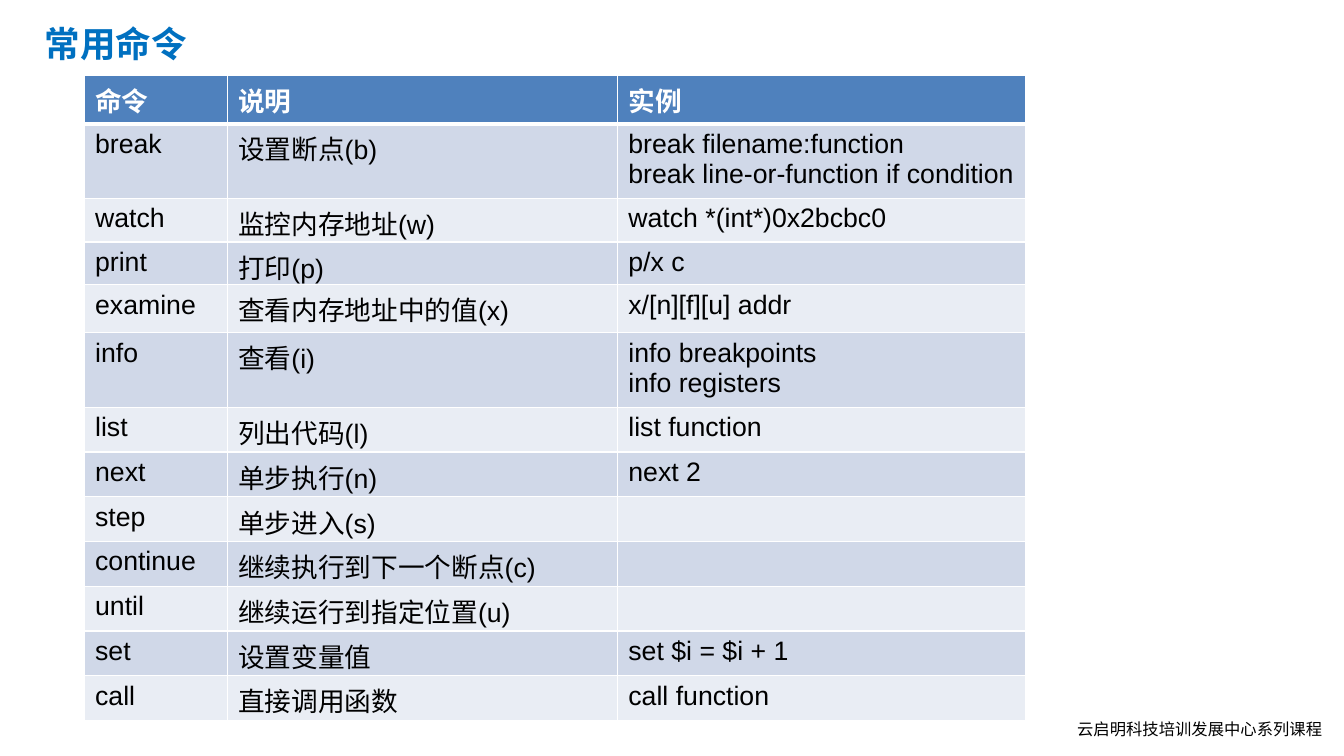
from lxml.etree import SubElement
from pptx import Presentation
from pptx.dml.color import RGBColor
from pptx.enum.text import MSO_ANCHOR as Anchor, PP_ALIGN as Align
from pptx.oxml import parse_xml
from pptx.oxml.ns import qn, nsdecls
from pptx.util import Pt

COLUMN_WIDTHS = [96.5, 263.5, 275]
HEADER_HEIGHT = 32.4
ROW_HEIGHT = 30.2
TALL_HEIGHT = 50.4
ROW_HEIGHTS = {"watch": 29.5, "print": 27.4, "examine": 32.4}
COMMANDS = [
    ("命令", "说明", "实例"),
    ("break", "设置断点(b)", "break filename:function\nbreak line-or-function if condition"),
    ("watch", "监控内存地址(w)", "watch *(int*)0x2bcbc0"),
    ("print", "打印(p)", "p/x c"),
    ("examine", "查看内存地址中的值(x)", "x/[n][f][u] addr"),
    ("info", "查看(i)", "info breakpoints\ninfo registers"),
    ("list", "列出代码(l)", "list function"),
    ("next", "单步执行(n)", "next 2"),
    ("step", "单步进入(s)", ""),
    ("continue", "继续执行到下一个断点(c)", ""),
    ("until", "继续运行到指定位置(u)", ""),
    ("set", "设置变量值", "set $i = $i + 1"),
    ("call", "直接调用函数", "call function"),
]


def color(value):
    return RGBColor.from_string(value)


def row_height(index, row):
    if index == 0:
        return HEADER_HEIGHT
    if "\n" in row[2]:
        return TALL_HEIGHT
    return ROW_HEIGHTS.get(row[0], ROW_HEIGHT)


class SlideBuilder:
    latin = "Arial"
    chinese = "Noto Sans CJK SC"
    header_fill = "4F81BD"
    band_fills = ("E9EDF4", "D0D8E8")

    def __init__(self, page):
        self.page = page

    def style(self, frame, size, ink, font, bold=False):
        for para in frame.paragraphs:
            for span in para.runs:
                span.font.size = Pt(size)
                span.font.bold = bold
                span.font.name = font
                span.font.color.rgb = color(ink)
                properties = span.font._element
                SubElement(properties, qn("a:ea")).set("typeface", self.chinese)

    def title(self, text, left, top, width, height):
        box = self.page.shapes.title
        box.left, box.top, box.width, box.height = map(Pt, (left, top, width, height))
        frame = box.text_frame
        frame.text = text
        frame.vertical_anchor = Anchor.MIDDLE
        frame.paragraphs[0].alignment = Align.LEFT
        self.style(frame, 24, "0070C0", self.chinese, True)

    def label(self, text, left, top, width, height):
        box = self.page.shapes.add_textbox(*map(Pt, (left, top, width, height)))
        frame = box.text_frame
        frame.word_wrap = False
        frame.text = text
        self.style(frame, 11, "000000", self.chinese)

    def borders(self, cell, top, bottom):
        properties = cell._tc.get_or_add_tcPr()
        sides = (("L", 1), ("R", 1), ("T", top), ("B", bottom))
        for position, (side, weight) in enumerate(sides):
            line = parse_xml(
                f'<a:ln{side} {nsdecls("a")} w="{Pt(weight)}"><a:solidFill>'
                f'<a:srgbClr val="FFFFFF"/></a:solidFill></a:ln{side}>'
            )
            properties.insert(position, line)

    def table(self, rows, widths, left, top):
        heights = [row_height(index, row) for index, row in enumerate(rows)]
        size = map(Pt, (left, top, sum(widths), sum(heights)))
        table = self.page.shapes.add_table(len(rows), len(widths), *size).table
        for column, width in zip(table.columns, widths):
            column.width = Pt(width)
        for index, row in enumerate(rows):
            table.rows[index].height = Pt(heights[index])
            header = index == 0
            fill = self.header_fill if header else self.band_fills[index % 2]
            for cell, text in zip(table.rows[index].cells, row):
                cell.text_frame.text = text
                cell.fill.solid()
                cell.fill.fore_color.rgb = color(fill)
                self.borders(cell, 3 if index == 1 else 1, 3 if header else 1)
                self.style(cell.text_frame, 18, "FFFFFF" if header else "000000", self.latin, header)


def main():
    deck = Presentation()
    deck.slide_width, deck.slide_height = Pt(907.2), Pt(510.5)
    builder = SlideBuilder(deck.slides.add_slide(deck.slide_layouts[5]))
    builder.label("云启明科技培训发展中心系列课程", 720, 482.4, 181.4, 20.9)
    builder.title("常用命令", 23, 11.5, 357, 36)
    builder.table(COMMANDS, COLUMN_WIDTHS, 57, 51.1)
    deck.save("out.pptx")


if __name__ == "__main__":
    main()
